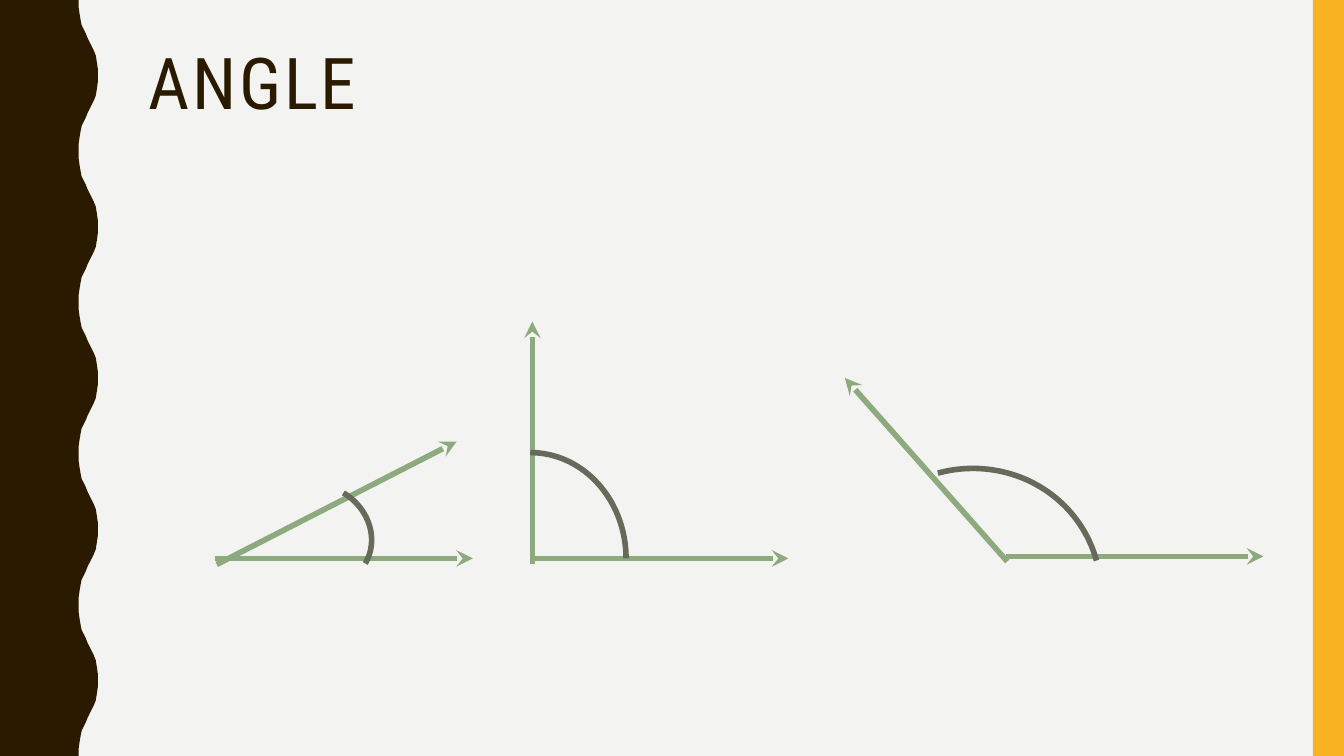
"""Build a slide showing an acute, a right and an obtuse angle."""
import pptx
import pptx.dml.color
import pptx.enum.shapes
import pptx.enum.text
import pptx.oxml
import pptx.oxml.ns
import pptx.util
from pptx.util import Inches

COLORS = {"paper": "F3F3F2", "brown": "2A1A00", "amber": "F8B323",
          "ray": "8CAA7E", "arc": "656A59"}
FONT = "Roboto Condensed"
WIDTH, HEIGHT = 13.33, 7.5
STROKE = 4
TITLE = "ANGLE"
TITLE_BOX = (1.37, 0.42, 11.13, 1.63)
AMBER_BAR = (13.02, 0, 0.31, HEIGHT)

WAVE_COUNT = 5
WAVE_RISE = [(0.78, 0), (0.78, 0.07), (0.79, 0.14), (0.8, 0.2), (0.81, 0.25),
             (0.83, 0.29), (0.85, 0.33), (0.87, 0.38), (0.89, 0.42), (0.91, 0.46),
             (0.93, 0.5), (0.95, 0.55), (0.96, 0.61), (0.97, 0.68), (0.97, 0.75)]

ANGLES = [
    {"rays": [(2.15, 5.6, 4.53, 4.38), (2.13, 5.54, 4.69, 5.54)],
     "arc": (2.61, 4.82, 1.09, 0.98), "turn": 30.9},
    {"rays": [(5.28, 5.6, 5.28, 3.19), (5.26, 5.54, 7.82, 5.54)],
     "arc": (4.31, 4.49, 1.9, 2.1), "turn": 0},
    {"rays": [(9.99, 5.57, 8.38, 3.75), (9.98, 5.52, 12.53, 5.52)],
     "arc": (8.34, 4.65, 2.58, 2.5), "turn": 344.8},
]


def rgb(name):
    """Return the named colour."""
    return pptx.dml.color.RGBColor.from_string(COLORS[name])


def inches(values):
    """Convert a sequence of numbers to lengths."""
    return [Inches(value) for value in values]


def write(frame, text, *, size, color, spacing, line_spacing):
    """Write one formatted line at the top left of a text frame."""
    frame.word_wrap = True
    frame.auto_size = pptx.enum.text.MSO_AUTO_SIZE.NONE
    frame.vertical_anchor = pptx.enum.text.MSO_ANCHOR.TOP
    paragraph = frame.paragraphs[0]
    paragraph.alignment = pptx.enum.text.PP_ALIGN.LEFT
    paragraph.line_spacing = line_spacing
    run = paragraph.add_run()
    run.text = text
    run.font.name = FONT
    run.font.size = pptx.util.Pt(size)
    run.font.color.rgb = rgb(color)
    run.font._element.set("spc", str(spacing * 100))


def paint(shape, color):
    """Fill a shape with a flat colour and no outline."""
    shape.shadow.inherit = False
    shape.fill.solid()
    shape.fill.fore_color.rgb = rgb(color)
    shape.line.fill.background()


def stroke(line, color):
    """Format a line."""
    line.color.rgb = rgb(color)
    line.width = pptx.util.Pt(STROKE)


def add_wavy_edge(shapes):
    """Draw the brown band whose right side is a repeated wave."""
    period = HEIGHT / WAVE_COUNT
    wave = WAVE_RISE + [(x, period - y) for x, y in reversed(WAVE_RISE[:-1])]
    edge = [(x, y + period * i) for i in range(WAVE_COUNT) for x, y in wave]
    builder = shapes.build_freeform(0, 0)
    builder.add_line_segments([inches(point) for point in edge + [(0, HEIGHT)]], close=True)
    paint(builder.convert_to_shape(), "brown")


def add_ray(shapes, ends):
    """Draw an arrow from the vertex outwards."""
    ray = shapes.add_connector(pptx.enum.shapes.MSO_CONNECTOR.STRAIGHT, *inches(ends))
    stroke(ray.line, "ray")
    outline = ray.line._get_or_add_ln()
    outline.append(pptx.oxml.parse_xml(
        f'<a:tailEnd {pptx.oxml.ns.nsdecls("a")} type="stealth"/>'))
    ray._element.spPr.append(pptx.oxml.parse_xml(
        f'<a:effectLst {pptx.oxml.ns.nsdecls("a")}/>'))


def add_arc(shapes, box, turn):
    """Draw the mark between two rays."""
    arc = shapes.add_shape(pptx.enum.shapes.MSO_SHAPE.ARC, *inches(box))
    arc.rotation = turn
    arc.shadow.inherit = False
    arc.fill.background()
    stroke(arc.line, "arc")


def main():
    """Assemble and save the slide."""
    deck = pptx.Presentation()
    deck.slide_width, deck.slide_height = inches((WIDTH, HEIGHT))
    slide = deck.slides.add_slide(deck.slide_layouts.get_by_name("Title Only"))
    slide.background.fill.solid()
    slide.background.fill.fore_color.rgb = rgb("paper")

    title = slide.shapes.title
    title.left, title.top, title.width, title.height = inches(TITLE_BOX)
    write(title.text_frame, TITLE, size=51, color="brown", spacing=2, line_spacing=0.9)

    add_wavy_edge(slide.shapes)
    bar = slide.shapes.add_shape(pptx.enum.shapes.MSO_SHAPE.RECTANGLE, *inches(AMBER_BAR))
    paint(bar, "amber")

    for angle in ANGLES:
        for ends in angle["rays"]:
            add_ray(slide.shapes, ends)
        add_arc(slide.shapes, angle["arc"], angle["turn"])

    deck.save("out.pptx")


if __name__ == "__main__":
    main()
